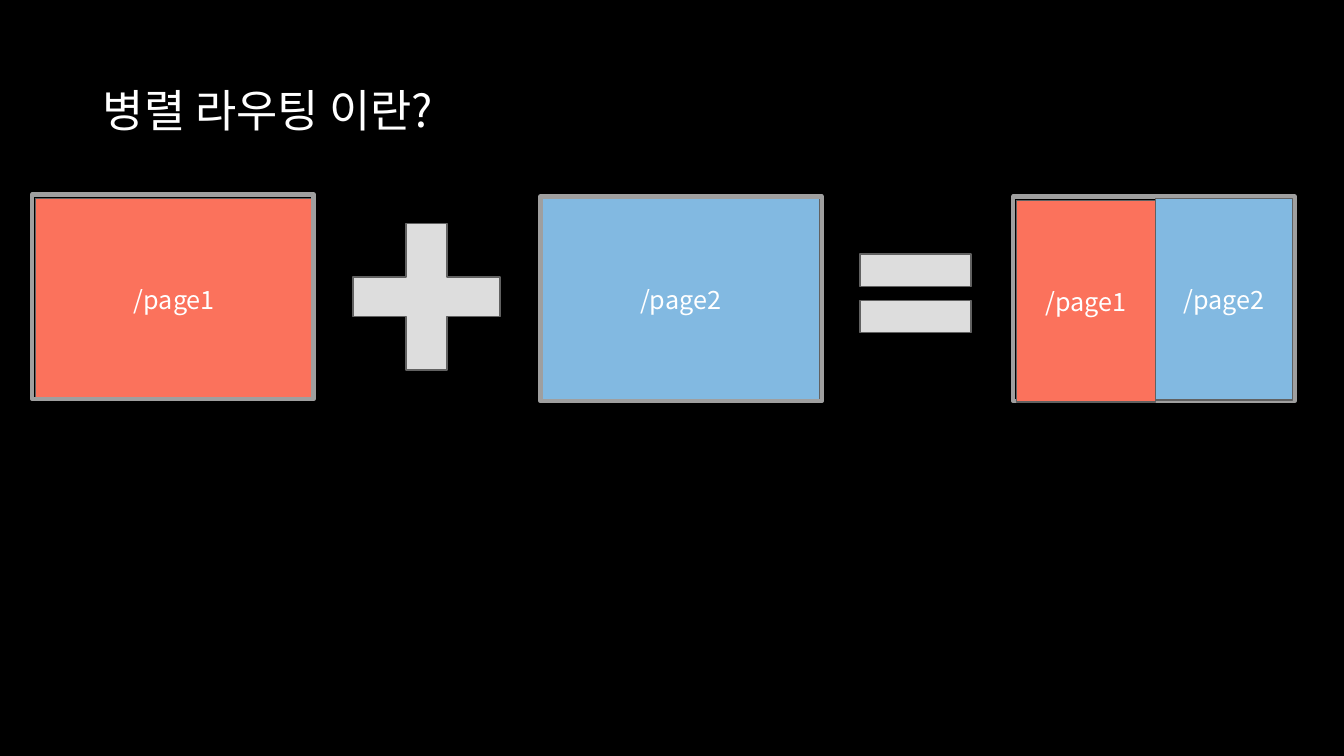
"""Build a slide that explains parallel routing as page1 + page2 = both pages."""
from dataclasses import dataclass
from typing import Optional

from lxml.etree import SubElement
from pptx import Presentation
from pptx.dml.color import RGBColor
from pptx.dml.fill import FillFormat
from pptx.enum.shapes import MSO_SHAPE
from pptx.enum.text import MSO_ANCHOR, PP_ALIGN
from pptx.oxml.ns import qn
from pptx.slide import Slide
from pptx.text.text import TextFrame
from pptx.util import Inches, Pt

FONT = "Noto Sans CJK KR"
BLACK, WHITE = "000000", "FFFFFF"
CORAL, SKY = "FB725C", "82B9E1"
SIGN_GREY, EDGE_GREY, FRAME_GREY = "DDDDDD", "616161", "9F9F9F"
PAGE_WIDTH, PAGE_HEIGHT = 2.76, 2.0
FRAME_WIDTH, FRAME_HEIGHT = 2.79, 2.03
BAR_LEFT, BAR_TOP, BAR_STEP = 8.53, 2.52, 0.46


@dataclass(frozen=True)
class Block:
    left: float
    top: float
    width: float
    height: float
    fill: Optional[str] = None
    label: str = ""
    edge: str = EDGE_GREY
    edge_width: float = 1
    preset: MSO_SHAPE = MSO_SHAPE.RECTANGLE
    adjustment: Optional[float] = None


def page1(left: float, top: float, width: float = PAGE_WIDTH) -> Block:
    return Block(left, top, width, PAGE_HEIGHT, CORAL, "/page1")


def page2(left: float, top: float, width: float = PAGE_WIDTH) -> Block:
    return Block(left, top, width, PAGE_HEIGHT, SKY, "/page2")


def screen_frame(left: float, top: float) -> Block:
    return Block(left, top, FRAME_WIDTH, FRAME_HEIGHT, edge=FRAME_GREY, edge_width=3)


BLOCKS = [
    page1(0.35, 1.97),
    page2(5.37, 1.97),
    screen_frame(0.32, 1.93),
    screen_frame(5.36, 1.95),
    Block(3.5, 2.22, 1.46, 1.45, SIGN_GREY, preset=MSO_SHAPE.CROSS, adjustment=0.364),
    screen_frame(10.05, 1.95),
    page1(10.08, 1.99, 1.38),
    page2(11.46, 1.97, 1.36),
    *(Block(BAR_LEFT, BAR_TOP + bar * BAR_STEP, 1.1, 0.32, SIGN_GREY) for bar in range(2)),
]


def paint(fill: FillFormat, color: str) -> None:
    fill.solid()
    fill.fore_color.rgb = RGBColor.from_string(color)


def write(frame: TextFrame, wording: str, size: float, align: PP_ALIGN) -> None:
    frame.text = wording
    frame.word_wrap = True
    frame.vertical_anchor = MSO_ANCHOR.MIDDLE
    paragraph = frame.paragraphs[0]
    paragraph.alignment = align
    font = paragraph.font
    font.name, font.size = FONT, Pt(size)
    paint(font.fill, WHITE)
    defaults = paragraph._p.pPr.find(qn("a:defRPr"))
    SubElement(defaults, qn("a:ea")).set("typeface", FONT)


def draw_block(slide: Slide, block: Block) -> None:
    bounds = (Inches(v) for v in (block.left, block.top, block.width, block.height))
    shape = slide.shapes.add_shape(block.preset, *bounds)
    shape.shadow.inherit = False
    if block.adjustment is not None:
        shape.adjustments[0] = block.adjustment
    if block.fill:
        paint(shape.fill, block.fill)
    else:
        shape.fill.background()
    paint(shape.line.fill, block.edge)
    shape.line.width = Pt(block.edge_width)
    if block.label:
        write(shape.text_frame, block.label, 18, PP_ALIGN.CENTER)


def draw_title(slide: Slide) -> None:
    title = slide.shapes.title
    title.left, title.top = Inches(0.92), Inches(0.4)
    title.width, title.height = Inches(11.5), Inches(1.45)
    write(title.text_frame, "병렬 라우팅 이란?", 32, PP_ALIGN.LEFT)
    title.text_frame.paragraphs[0].line_spacing = 0.9


def main() -> None:
    deck = Presentation()
    deck.slide_width, deck.slide_height = Inches(13.33), Inches(7.5)
    slide = deck.slides.add_slide(deck.slide_layouts[5])
    paint(slide.background.fill, BLACK)
    draw_title(slide)
    for block in BLOCKS:
        draw_block(slide, block)
    deck.save("out.pptx")


if __name__ == "__main__":
    main()
